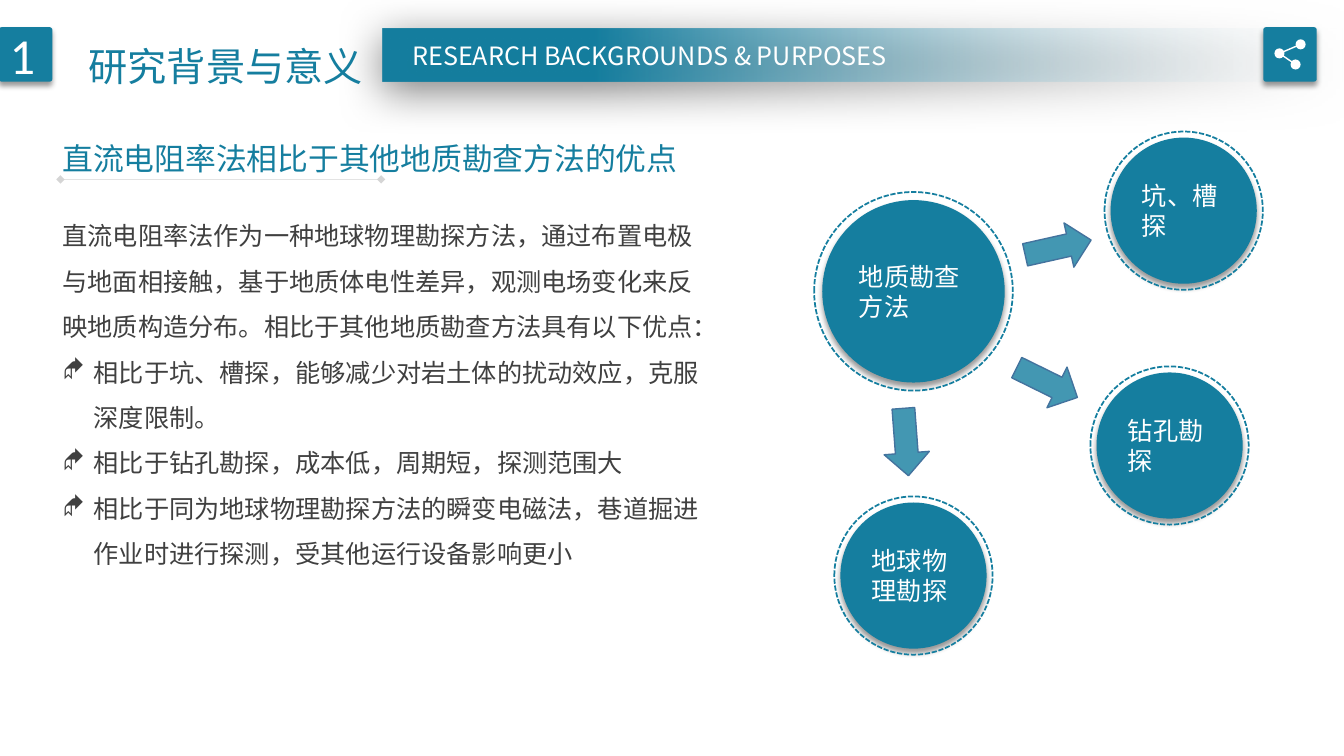
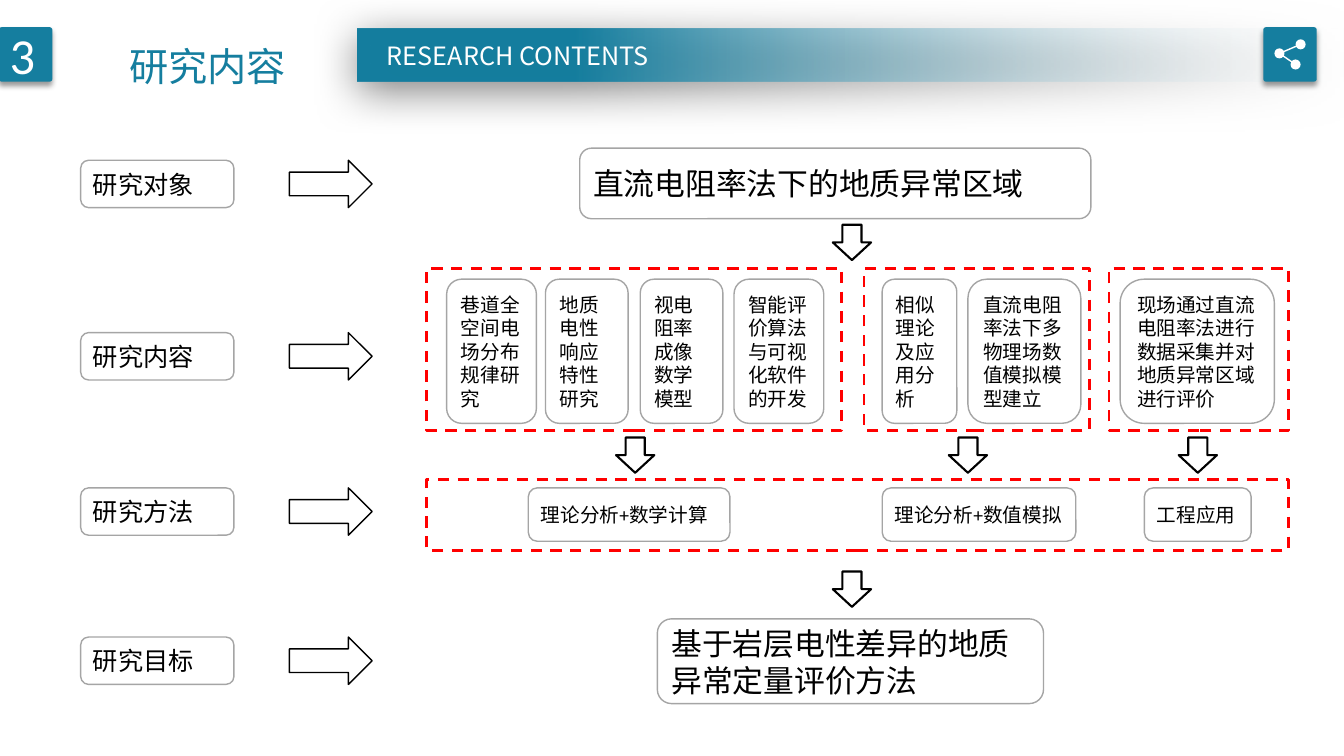
"""Build two slides on research background and research contents."""
from lxml import etree
from pptx import Presentation
from pptx.dml.color import RGBColor
from pptx.enum.dml import MSO_LINE
from pptx.enum.shapes import MSO_CONNECTOR, MSO_SHAPE
from pptx.enum.text import MSO_ANCHOR, MSO_AUTO_SIZE, PP_ALIGN
from pptx.oxml.ns import qn
from pptx.util import Inches, Pt

RECT, ROUND, OVAL = MSO_SHAPE.RECTANGLE, MSO_SHAPE.ROUNDED_RECTANGLE, MSO_SHAPE.OVAL
RIGHT, DOWN = MSO_SHAPE.RIGHT_ARROW, MSO_SHAPE.DOWN_ARROW
DASH, SHORT_DASH = MSO_LINE.DASH, MSO_LINE.SQUARE_DOT
LEFT, TOP = PP_ALIGN.LEFT, MSO_ANCHOR.TOP
STRAIGHT, FIXED_SIZE = MSO_CONNECTOR.STRAIGHT, MSO_AUTO_SIZE.NONE

COLOURS = {
    "teal": "157E9F", "pale": "F7FAFD", "white": "FFFFFF", "black": "000000",
    "text": "404040", "rule": "808080", "border": "A5A5A5",
    "arrow": "43739E", "frame": "FF0000",
}
CJK, LATIN = "Noto Sans CJK SC", "Calibri"
TITLE_ONLY, TITLE_BODY = 5, 1
SOFT_SHADOW = (4, 3, 90, 40)
BAND_SHADOW = (31, 6, 97, 50)


def colour(name):
    return RGBColor.from_string(COLOURS[name])


def add_node(parent, tag, **attributes):
    node = etree.SubElement(parent, qn(tag))
    for key, value in attributes.items():
        node.set(key, str(value))
    return node


def set_alpha(parent, percent):
    add_node(next(parent.iter(qn("a:srgbClr"))), "a:alpha", val=percent * 1000)


class Deck:
    """Hold the shared style and the current slide."""

    def __init__(self):
        self.prs = Presentation()
        self.prs.slide_width = Inches(13.33)
        self.prs.slide_height = Inches(7.5)
        self.slide = None

    def new_slide(self, layout, number, title, title_left, subtitle, band_left):
        self.slide = self.prs.slides.add_slide(self.prs.slide_layouts[layout])
        self.band(band_left)
        badge = self.shape(ROUND, (-0.01, 0.27, 0.53, 0.54), "teal", shadow=SOFT_SHADOW)
        badge.adjustments[0] = 0.05
        self.set_text(badge, number, 36, "white", LATIN)
        self.text(subtitle, (band_left + 0.19, 0.35, 6, 0.4), 18, "white")
        self.share_icon()
        heading = self.slide.shapes.title
        self.place(heading, (title_left, 0.14, 3.07, 0.72))
        self.set_text(heading, title, 28, "teal", align=LEFT, spacing=1.5)
        self.slide.shapes.element.append(heading.element)

    def band(self, left):
        band = self.shape(RECT, (left, 0.28, 13.33 - left, 0.53), "teal", shadow=BAND_SHADOW)
        band.fill.gradient()
        band.fill.gradient_angle = 180
        for stop, name, position in zip(band.fill.gradient_stops, ("pale", "teal"), (0, 0.78)):
            stop.color.rgb = colour(name)
            stop.position = position
        set_alpha(band.element.spPr, 0)

    def share_icon(self):
        tile = self.shape(ROUND, (12.53, 0.27, 0.53, 0.54), "teal", shadow=SOFT_SHADOW)
        tile.adjustments[0] = 0.05
        hub, *ends = (12.69, 0.53), (12.9, 0.44), (12.85, 0.64)
        for end in ends:
            self.line(hub, end, "white", 1)
        for x, y in (hub, *ends):
            self.shape(OVAL, (x - 0.05, y - 0.05, 0.1, 0.1), "white")

    def place(self, placeholder, box):
        placeholder.left, placeholder.top, placeholder.width, placeholder.height = map(Inches, box)
        placeholder.text_frame.auto_size = FIXED_SIZE
        placeholder.text_frame.vertical_anchor = TOP

    def set_text(self, shape, content, size, ink, font=CJK, align=None, spacing=None):
        frame = shape.text_frame
        frame.word_wrap = True
        frame.text = content
        for paragraph in frame.paragraphs:
            paragraph.space_before = Pt(0)
            if align is not None:
                paragraph.alignment = align
            if spacing:
                paragraph.line_spacing = spacing
            for run in paragraph.runs:
                run.font.size = Pt(size)
                run.font.name = font
                run.font.color.rgb = colour(ink)
                add_node(run.font._element, "a:ea", typeface=CJK)

    def text(self, content, box, size, ink, spacing=None):
        label = self.slide.shapes.add_textbox(*map(Inches, box))
        self.set_text(label, content, size, ink, align=LEFT, spacing=spacing)

    def shape(self, kind, box, fill=None, line=None, width=1, dash=None, shadow=None):
        shape = self.slide.shapes.add_shape(kind, *map(Inches, box))
        shape.shadow.inherit = False
        if fill:
            shape.fill.solid()
            shape.fill.fore_color.rgb = colour(fill)
        else:
            shape.fill.background()
        if line:
            shape.line.color.rgb = colour(line)
            shape.line.width = Pt(width)
            shape.line.dash_style = dash
        else:
            shape.line.fill.background()
        if shadow:
            blur, distance, angle, alpha = shadow
            effects = shape.element.spPr.find(qn("a:effectLst"))
            cast = add_node(effects, "a:outerShdw", blurRad=Pt(blur), dist=Pt(distance),
                            dir=angle * 60000, algn="ctr", rotWithShape=0)
            add_node(cast, "a:srgbClr", val=COLOURS["black"])
            set_alpha(cast, alpha)
        return shape

    def line(self, start, end, ink, width, alpha=100, tips=None):
        rule = self.slide.shapes.add_connector(STRAIGHT, *map(Inches, (*start, *end)))
        rule.line.color.rgb = colour(ink)
        rule.line.width = Pt(width)
        properties = rule.element.spPr
        set_alpha(properties, alpha)
        if tips:
            for tag in ("a:headEnd", "a:tailEnd"):
                add_node(properties.find(qn("a:ln")), tag, type=tips)
        add_node(properties, "a:effectLst")

    def body(self, intro, points, box):
        body = self.slide.placeholders[1]
        self.place(body, box)
        self.set_text(body, "\n".join([intro, *points]), 18, "text", align=LEFT, spacing=1.5)
        for index, paragraph in enumerate(body.text_frame.paragraphs):
            properties = paragraph._p.get_or_add_pPr()
            indent = Inches(0.31) if index else 0
            properties.set("marL", str(indent))
            properties.set("indent", str(-indent))
            if index:
                add_node(properties, "a:buFont", typeface="Wingdings")
                add_node(properties, "a:buChar", char="◆")
            else:
                add_node(properties, "a:buNone")

    def ringed_circle(self, content, x, y, size, gap):
        disc = self.shape(OVAL, (x - size / 2, y - size / 2, size, size), "teal", shadow=SOFT_SHADOW)
        self.set_text(disc, content, 18, "white", LATIN)
        ring = size + 2 * gap
        self.shape(OVAL, (x - ring / 2, y - ring / 2, ring, ring), None, "teal", 1.25, SHORT_DASH)

    def turned_arrow(self, left, top, angle):
        arrow = self.shape(RIGHT, (left, top, 0.67, 0.45), "teal", "arrow")
        arrow.rotation = angle
        set_alpha(arrow.element.spPr, 80)

    def box(self, content, box, size):
        card = self.shape(ROUND, box, "white", "border")
        self.set_text(card, content, size, "black", LATIN)

    def frame(self, *box):
        self.shape(RECT, box, None, "frame", 2, DASH)

    def down_arrow(self, x, y):
        self.shape(DOWN, (x - 0.19, y - 0.18, 0.38, 0.35), None, "black", 1.5)


def background_slide(deck):
    deck.new_slide(TITLE_BODY, "1", "研究背景与意义", 0.78,
                   "RESEARCH BACKGROUNDS & PURPOSES", 3.8)
    deck.text("直流电阻率法相比于其他地质勘查方法的优点", (0.52, 1.23, 6.4, 0.54), 22, "teal", 1.3)
    deck.line((0.6, 1.78), (3.78, 1.78), "rule", 0.25, 33, "diamond")
    deck.body(
        "直流电阻率法作为一种地球物理勘探方法，通过布置电极与地面相接触，基于地质体电性差异，"
        "观测电场变化来反映地质构造分布。相比于其他地质勘查方法具有以下优点：",
        ["相比于坑、槽探，能够减少对岩土体的扰动效应，克服深度限制。",
         "相比于钻孔勘探，成本低，周期短，探测范围大",
         "相比于同为地球物理勘探方法的瞬变电磁法，巷道掘进作业时进行探测，受其他运行设备影响更小"],
        (0.52, 1.99, 6.6, 3.68))
    deck.ringed_circle("地质勘查方法", 9.06, 2.89, 1.81, 0.08)
    for method, x, y in (("坑、槽探", 11.74, 2.09), ("钻孔勘探", 11.6, 4.42),
                         ("地球物理勘探", 9.06, 5.71)):
        deck.ringed_circle(method, x, y, 1.45, 0.06)
    for left, top, angle in ((10.16, 2.23, 347.4), (10.05, 3.57, 26.2), (8.65, 4.16, 85.7)):
        deck.turned_arrow(left, top, angle)


def contents_slide(deck):
    deck.new_slide(TITLE_ONLY, "3", "研究内容", 1.18, "RESEARCH CONTENTS", 3.55)
    for stage, top in (("研究对象", 1.59), ("研究内容", 3.3), ("研究方法", 4.84), ("研究目标", 6.32)):
        deck.box(stage, (0.8, top, 1.52, 0.47), 18)
        deck.shape(RIGHT, (2.87, top, 0.82, 0.47), "white", "black")
    deck.box("直流电阻率法下的地质异常区域", (5.75, 1.47, 5.07, 0.7), 22)
    for topic, left, width in (
            ("巷道全空间电场分布规律研究", 4.43, 0.89),
            ("地质电性响应特性研究", 5.41, 0.82),
            ("视电阻率成像数学模型", 6.35, 0.82),
            ("智能评价算法与可视化软件的开发", 7.28, 0.89),
            ("相似理论及应用分析", 8.75, 0.74),
            ("直流电阻率法下多物理场数值模拟模型建立", 9.6, 1.12),
            ("现场通过直流电阻率法进行数据采集并对地质异常区域进行评价", 11.11, 1.53)):
        deck.box(topic, (left, 2.77, width, 1.43), 14)
    for method, left, width in (("理论分析+数学计算", 5.24, 2), ("理论分析+数值模拟", 8.75, 1.92),
                                ("工程应用", 11.35, 1.06)):
        deck.box(method, (left, 4.84, width, 0.53), 14)
    for left, width in ((4.23, 4.12), (8.57, 2.24), (11, 1.78)):
        deck.frame(left, 2.66, width, 1.61)
    deck.frame(4.23, 4.76, 8.55, 0.7)
    for x, y in ((8.45, 2.41), (6.3, 4.52), (9.6, 4.52), (11.88, 4.52), (8.45, 5.85)):
        deck.down_arrow(x, y)
    deck.box("基于岩层电性差异的地质异常定量评价方法", (6.52, 6.14, 3.83, 0.84), 22)


def main():
    deck = Deck()
    background_slide(deck)
    contents_slide(deck)
    deck.prs.save("out.pptx")


if __name__ == "__main__":
    main()
